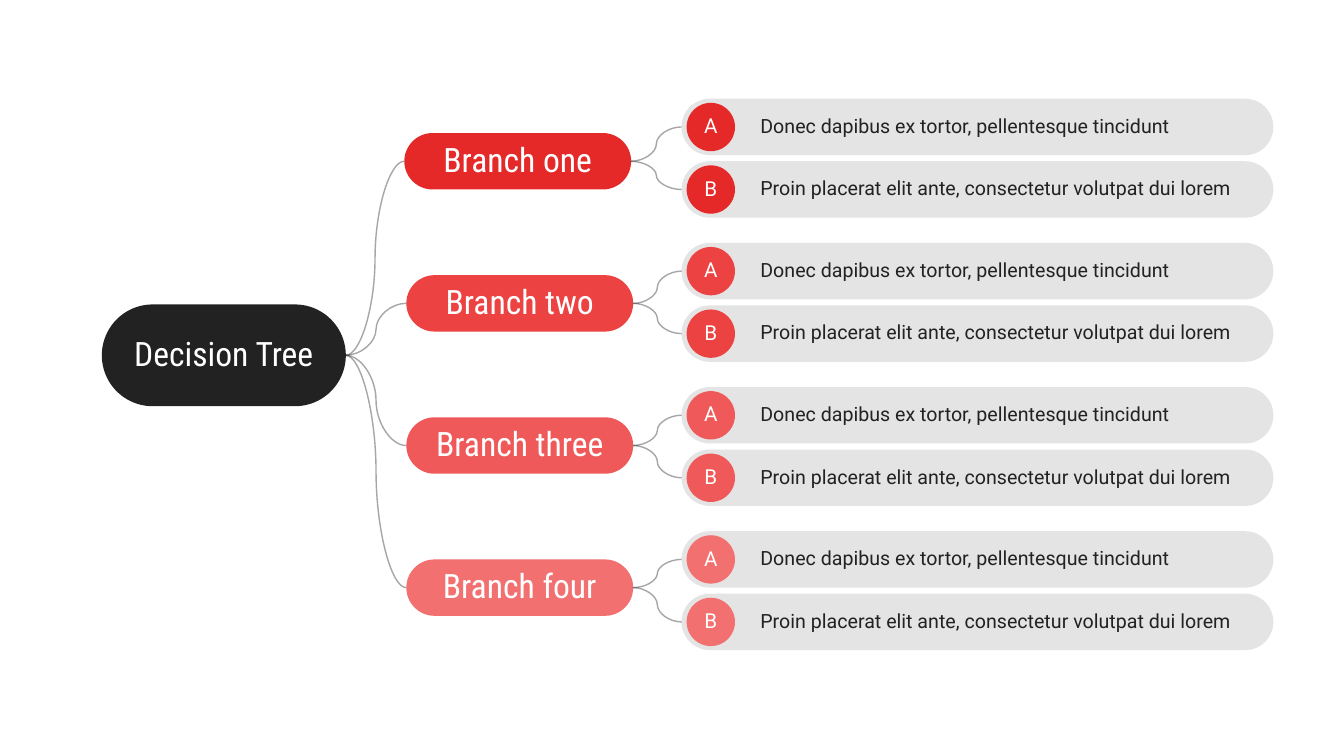
"""Build a decision tree slide with four branches of two options each."""
from lxml.etree import SubElement
from pptx import Presentation
from pptx.dml.color import RGBColor
from pptx.enum.shapes import MSO_CONNECTOR, MSO_SHAPE
from pptx.enum.text import MSO_ANCHOR, PP_ALIGN
from pptx.oxml.ns import qn
from pptx.util import Inches, Pt

DARK = RGBColor(0x22, 0x22, 0x22)
WHITE = RGBColor(0xFF, 0xFF, 0xFF)
BRANCHES = [
    ("Branch one", 4.01, RGBColor(0xE5, 0x28, 0x28)),
    ("Branch two", 4.03, RGBColor(0xEC, 0x42, 0x42)),
    ("Branch three", 4.03, RGBColor(0xF0, 0x59, 0x59)),
    ("Branch four", 4.03, RGBColor(0xF2, 0x70, 0x70)),
]
OPTIONS = [
    ("A", "Donec dapibus ex tortor, pellentesque tincidunt"),
    ("B", "Proin placerat elit ante, consectetur volutpat dui lorem"),
]
LABEL = {"name": "Roboto Condensed", "size": Pt(24)}
LETTER = {"name": "Roboto", "size": Pt(14.7)}
BODY = {"name": "Roboto", "size": Pt(14)}
LEFT, RIGHT = 1, 3

prs = Presentation()
prs.slide_width, prs.slide_height = Inches(13.33), Inches(7.5)
s = prs.slides.add_slide(prs.slide_layouts[6])


def add_node(kind, box, fill, text, font, color=WHITE, align=PP_ALIGN.CENTER,
             insets=(0.05, 0.05), alpha=None):
    sp = s.shapes.add_shape(kind, *map(Inches, box))
    sp.shadow.inherit = False
    sp.fill.solid()
    sp.fill.fore_color.rgb = fill
    sp.line.fill.background()
    if kind == MSO_SHAPE.ROUNDED_RECTANGLE:
        sp.adjustments[0] = 0.5
    if alpha:
        clr = sp._element.spPr.find(".//" + qn("a:srgbClr"))
        SubElement(clr, qn("a:alpha"), val=str(alpha * 1000))
    tf = sp.text_frame
    tf.word_wrap = kind != MSO_SHAPE.OVAL
    tf.vertical_anchor = MSO_ANCHOR.MIDDLE
    tf.margin_left, tf.margin_right = map(Inches, insets)
    tf.margin_top = tf.margin_bottom = Inches(0.05)
    p = tf.paragraphs[0]
    p.alignment = align
    p.line_spacing = 0.9
    r = p.add_run()
    r.text = text
    r.font.color.rgb = color
    for key, value in font.items():
        setattr(r.font, key, value)
    return sp


def link(parent, child):
    cxn = s.shapes.add_connector(MSO_CONNECTOR.CURVE, 0, 0, 0, 0)
    cxn.begin_connect(parent, RIGHT)
    cxn.end_connect(child, LEFT)
    cxn.line.color.rgb = DARK
    cxn.line.width = Pt(1)
    spPr = cxn._element.spPr
    SubElement(spPr.find(".//" + qn("a:srgbClr")), qn("a:alpha"), val="40000")
    SubElement(spPr, qn("a:effectLst"))


root = add_node(MSO_SHAPE.ROUNDED_RECTANGLE, (1.01, 3.02, 2.42, 1.01), DARK,
                "Decision Tree", LABEL)

for i, (name, left, color) in enumerate(BRANCHES):
    branch = add_node(MSO_SHAPE.ROUNDED_RECTANGLE,
                      (left, 1.32 + 1.41 * i, 2.25, 0.56), color, name, LABEL)
    link(root, branch)
    for j, (letter, text) in enumerate(OPTIONS):
        top = 0.98 + 1.43 * i + 0.62 * j
        bar = add_node(MSO_SHAPE.ROUNDED_RECTANGLE, (6.76, top, 5.87, 0.56),
                       DARK, text, BODY, color=DARK, align=PP_ALIGN.LEFT,
                       insets=(0.7, 0), alpha=12)
        add_node(MSO_SHAPE.OVAL, (6.81, top + 0.04, 0.48, 0.48), color,
                 letter, LETTER)
        link(branch, bar)

prs.save("out.pptx")
